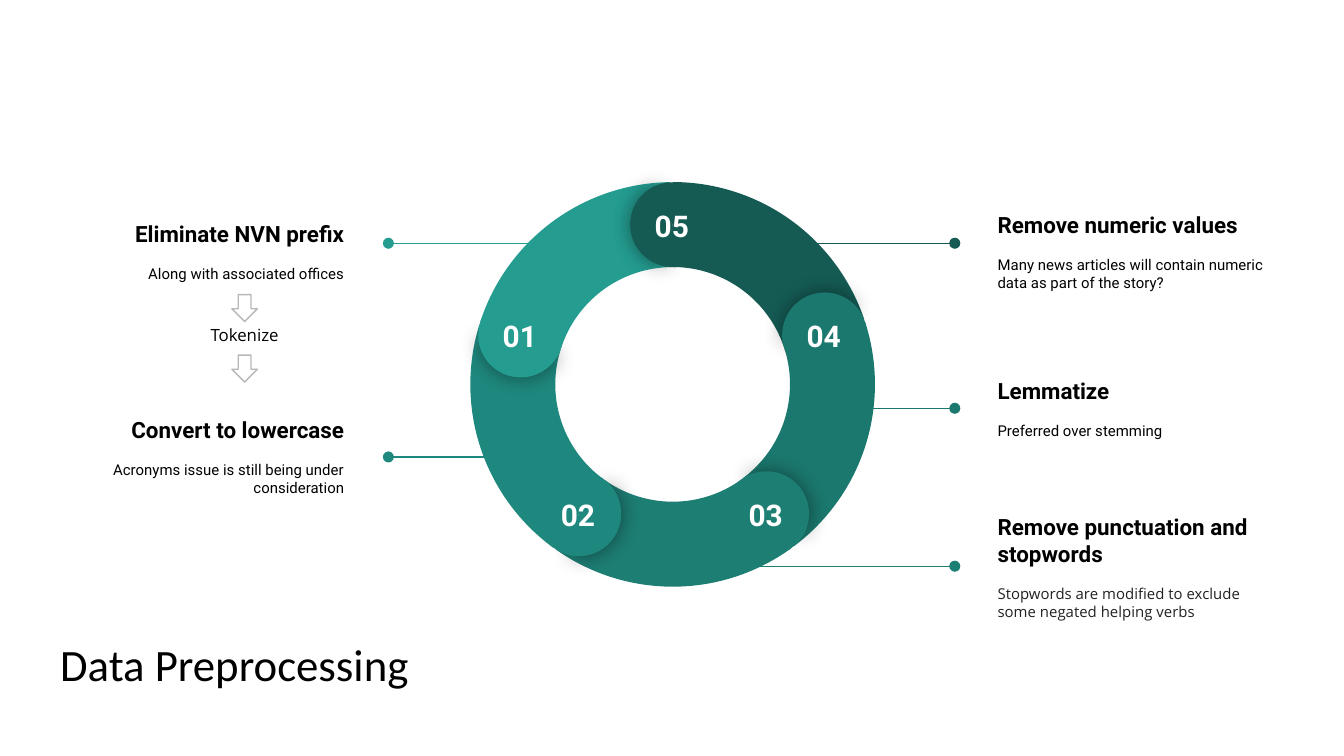
from dataclasses import dataclass
from math import cos, radians, sin

from lxml import etree
from pptx import Presentation
from pptx.dml.color import RGBColor
from pptx.enum.shapes import MSO_CONNECTOR, MSO_SHAPE
from pptx.enum.text import MSO_ANCHOR, PP_ALIGN
from pptx.oxml.ns import qn
from pptx.util import Emu, Inches, Pt

STRAIGHT = MSO_CONNECTOR.STRAIGHT
ARC, PIE, DOWN_ARROW = MSO_SHAPE.BLOCK_ARC, MSO_SHAPE.PIE, MSO_SHAPE.DOWN_ARROW
TOP, MIDDLE = MSO_ANCHOR.TOP, MSO_ANCHOR.MIDDLE
LEFT, CENTER, RIGHT = PP_ALIGN.LEFT, PP_ALIGN.CENTER, PP_ALIGN.RIGHT
CELL = Inches(0.1)
COLUMNS, ROWS = 100, 56.25
BAND = 0.21
TURN = 72


@dataclass(frozen=True)
class Theme:
    """Colours, fonts and type sizes of the slide."""
    ink: str = "000000"
    soft_ink: str = "212121"
    paper: str = "FFFFFF"
    outline: str = "B7B7B7"
    title_font: str = "Calibri"
    main_font: str = "Roboto"
    side_font: str = "Open Sans"
    title: float = 24
    number: float = 16
    heading: float = 12
    step: float = 9
    detail: float = 8
    rule: float = 0.75


@dataclass(frozen=True)
class Box:
    """A rectangle measured in grid columns and rows."""
    x: float
    y: float
    w: float
    h: float

    def inner(self, x, y, w, h):
        """Return a box offset from this box's corner."""
        return Box(self.x + x, self.y + y, w, h)

    def lengths(self):
        """Return left, top, width and height as slide lengths."""
        return [cells(value) for value in (self.x, self.y, self.w, self.h)]


@dataclass(frozen=True)
class Stage:
    """One ring segment with its callout."""
    number: str
    color: str
    heading: str
    detail: str
    text_row: float
    line_row: float
    line_start: float
    on_left: bool = False
    font: str = Theme.main_font
    ink: str = Theme.ink


THEME = Theme()
STAGES = [
    Stage("05", "155B54", "Remove numeric values",
          "Many news articles will contain numeric data as part of the story?",
          13.63, 18.1, 57),
    Stage("04", "1B786E", "Lemmatize", "Preferred over stemming",
          25.33, 30.38, 61.4),
    Stage("03", "1D7E74", "Remove punctuation and stopwords",
          "Stopwords are modified to exclude some negated helping verbs",
          37.13, 42.13, 50.9, font=THEME.side_font, ink=THEME.soft_ink),
    Stage("02", "1F887E", "Convert to lowercase",
          "Acronyms issue is still being under consideration",
          28.93, 34, 39.1, on_left=True),
    Stage("01", "249C90", "Eliminate NVN prefix", "Along with associated offices",
          13.63, 18.1, 42.3, on_left=True),
]


def cells(count):
    """Convert grid cells to a slide length."""
    return Emu(round(count * CELL))


def add_text(page, box, lines, align=LEFT, anchor=MIDDLE, wrap=True, gap=0):
    """Add a text box with one paragraph per (text, font, size, colour, bold)."""
    frame = page.shapes.add_textbox(*box.lengths()).text_frame
    frame.word_wrap = wrap
    frame.vertical_anchor = anchor
    frame.margin_left = frame.margin_right = cells(1)
    frame.margin_top = frame.margin_bottom = cells(1)
    for index, (text, font, size, color, bold) in enumerate(lines):
        para = frame.add_paragraph() if index else frame.paragraphs[0]
        para.alignment = align
        para.space_before = Pt(gap if index else 0)
        span = para.add_run()
        span.text = text
        span.font.name, span.font.size, span.font.bold = font, Pt(size), bold
        span.font.color.rgb = RGBColor.from_string(color)


def add_shape(page, kind, box, fill, adjustments, rotation=0, outline=None):
    """Add a filled preset shape without a shadow."""
    shape = page.shapes.add_shape(kind, *box.lengths())
    shape.shadow.inherit = False
    shape.rotation = rotation % 360
    for index, value in enumerate(adjustments):
        shape.adjustments[index] = value
    shape.fill.solid()
    shape.fill.fore_color.rgb = RGBColor.from_string(fill)
    if outline:
        shape.line.color.rgb = RGBColor.from_string(outline)
        shape.line.width = Pt(THEME.rule)
    else:
        shape.line.fill.background()
    return shape


def add_glow(shape):
    """Give a shape a soft, centred dark shadow."""
    effects = shape._element.spPr.find(qn("a:effectLst"))
    shadow = etree.SubElement(effects, qn("a:outerShdw"), blurRad=str(Pt(11.2)),
                              dist="0", dir="0", algn="ctr", rotWithShape="0")
    color = etree.SubElement(shadow, qn("a:srgbClr"), val=THEME.ink)
    etree.SubElement(color, qn("a:alpha"), val="43000")


def add_title(page, box):
    """Add the slide title."""
    add_text(page, box, [("Data Preprocessing", THEME.title_font, THEME.title,
                          THEME.ink, False)])


def add_callout(page, box, stage):
    """Add a stage's text and the dotted line that leads to it."""
    add_text(page, box,
             [(stage.heading, THEME.main_font, THEME.heading, THEME.ink, True),
              (stage.detail, stage.font, THEME.detail, stage.ink, False)],
             RIGHT if stage.on_left else LEFT, gap=9.4)
    end = box.x + box.w + 2.3 if stage.on_left else box.x - 2.2
    row = cells(stage.line_row)
    line = page.shapes.add_connector(STRAIGHT, cells(stage.line_start), row,
                                     cells(end), row)
    line.line.color.rgb = RGBColor.from_string(stage.color)
    line.line.width = Pt(THEME.rule)
    properties = line._element.spPr
    etree.SubElement(properties.find(qn("a:ln")), qn("a:tailEnd"), type="oval")
    etree.SubElement(properties, qn("a:effectLst"))


def add_ring(page, box, stages):
    """Add the ring of arcs, then a rounded numbered cap on each arc."""
    for index, stage in enumerate(stages):
        add_shape(page, ARC, box, stage.color, (126.03, 168.68, BAND),
                  60 + TURN * index)
    size = box.w * BAND
    reach = (box.w - size) / 2
    for index, stage in enumerate(stages):
        angle = radians(TURN * index - 90)
        cap = box.inner(reach * (1 + cos(angle)), reach * (1 + sin(angle)),
                        size, size)
        rotation = 356 + TURN * index
        add_glow(add_shape(page, PIE, cap, stage.color, (61.9, 149.96), rotation))
        add_shape(page, PIE, cap, stage.color, (40.28, 171.84), rotation + 179.3)
        add_text(page, cap.inner(0.3, 0.9, 5.6, 2.9),
                 [(stage.number, THEME.main_font, THEME.number, THEME.paper, True)],
                 CENTER, TOP)


def add_steps(page, box):
    """Add the middle step between two down arrows."""
    add_text(page, box.inner(0, 2, box.w, 2),
             [("Tokenize", THEME.side_font, THEME.step, THEME.ink, False)],
             CENTER, wrap=False)
    for row in (0, box.h - 2):
        add_shape(page, DOWN_ARROW, box.inner((box.w - 1.9) / 2, row, 1.9, 2),
                  THEME.paper, (0.5, 0.5), outline=THEME.outline)


def main():
    """Build and save the slide."""
    deck = Presentation()
    deck.slide_width, deck.slide_height = cells(COLUMNS), cells(ROWS)
    page = deck.slides.add_slide(deck.slide_layouts[6])
    add_title(page, Box(3.5, 46.15, 65.6, 6.5))
    for stage in STAGES:
        column = 3.4 if stage.on_left else 73.24
        add_callout(page, Box(column, stage.text_row, 23.2, 10.1), stage)
    add_ring(page, Box(35, 13.55, 30.1, 30.1), STAGES)
    add_steps(page, Box(14.5, 21.93, 7.4, 6.5))
    deck.save("out.pptx")


if __name__ == "__main__":
    main()
